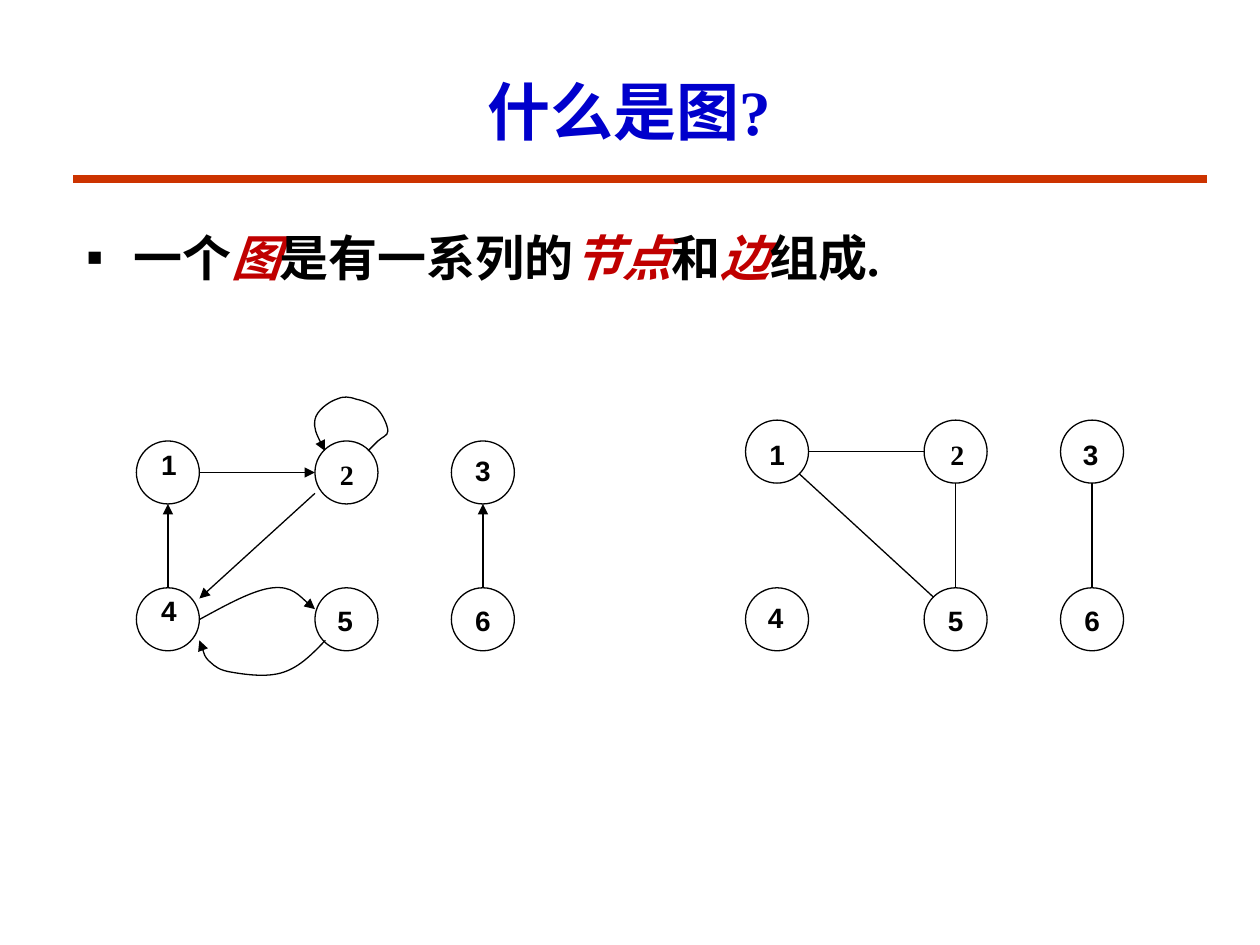
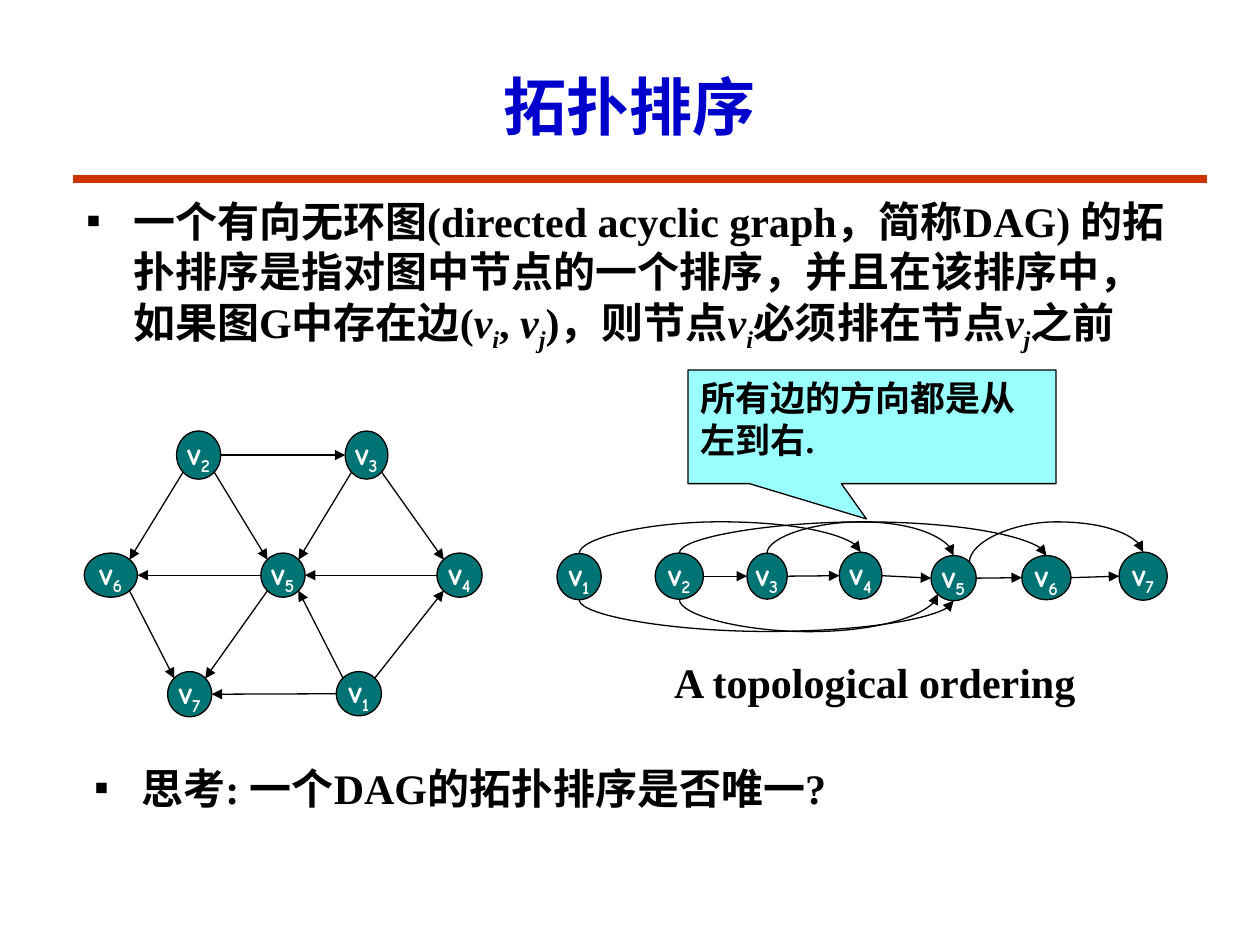
from dataclasses import dataclass, field
from typing import Any

import lxml.etree
import pptx
import pptx.dml.color
import pptx.enum.shapes
import pptx.enum.text
import pptx.oxml.ns
import pptx.util

Cm = pptx.util.Cm
Pt = pptx.util.Pt
qn = pptx.oxml.ns.qn
Shapes = pptx.enum.shapes.MSO_SHAPE
Connectors = pptx.enum.shapes.MSO_CONNECTOR
Anchor = pptx.enum.text.MSO_ANCHOR
Align = pptx.enum.text.PP_ALIGN

COLOURS = {
    "title": "0000CC",
    "rule": "CC3300",
    "ink": "000000",
    "term": "C00000",
    "node": "007374",
    "node_text": "FFFFFF",
    "callout": "99FFFF",
}
SERIF, SANS, COMIC = "Times New Roman", "Arial", "Comic Neue"
SUBSCRIPT = -25000
SIDES = {
    "n": (0.5, 0), "s": (0.5, 1), "w": (0, 0.5), "e": (1, 0.5),
    "nw": (0.15, 0.15), "ne": (0.85, 0.15), "sw": (0.15, 0.85), "se": (0.85, 0.85),
    "wsw": (0, 0.83), "ene": (1, 0.17),
}
CIRCLE = 1.27
ARC_TOP, ARC_BOTTOM = 10.52, 12.73


@dataclass
class Span:
    text: str
    colour: str = "ink"
    italic: bool = False
    baseline: int = 0


@dataclass
class Style:
    size: float
    name: str = SERIF
    bullet: bool = False
    frame: dict[str, Any] = field(default_factory=dict)
    align: Any = Align.LEFT


@dataclass
class Node:
    left: float
    top: float
    width: float = CIRCLE
    height: float = CIRCLE
    label_left: float = 0
    label_top: float = 0
    font: str = SANS

    def at(self, side: str) -> tuple[float, float]:
        across, down = SIDES[side]
        return self.left + across * self.width, self.top + down * self.height


@dataclass
class Edge:
    begin: str
    begin_side: str
    end: str
    end_side: str
    level: float = 0


NO_FIT = {"auto_size": pptx.enum.text.MSO_AUTO_SIZE.NONE, "word_wrap": True}
TITLE = Style(36, frame=NO_FIT | {"vertical_anchor": Anchor.MIDDLE}, align=Align.CENTER)
TOP = NO_FIT | {"vertical_anchor": Anchor.TOP}
NODE_STYLE = Style(18, COMIC, frame={"word_wrap": False, "vertical_anchor": Anchor.MIDDLE},
                   align=Align.CENTER)

LEFT, MIDDLE, RIGHT = 2.75, 6.35, 9.1
UPPER, LOWER = 8.89, 11.85
DIRECTED = {
    "1": Node(LEFT, UPPER, label_left=0.25),
    "2": Node(MIDDLE, UPPER, label_left=0.25, label_top=0.2, font=SERIF),
    "3": Node(RIGHT, UPPER, label_left=0.23, label_top=0.13),
    "4": Node(LEFT, LOWER, label_left=0.25),
    "5": Node(MIDDLE, LOWER, label_left=0.2, label_top=0.2),
    "6": Node(RIGHT, LOWER, label_left=0.23, label_top=0.2),
}
DIRECTED_EDGES = [
    Edge("4", "n", "1", "s"), Edge("1", "e", "2", "w"),
    Edge("2", "wsw", "4", "ene"), Edge("6", "n", "3", "s"),
]
UNDIRECTED = {
    "1": Node(15.03, 8.47, label_left=0.23, label_top=0.22),
    "2": Node(18.63, 8.47, label_left=0.28, label_top=0.22, font=SERIF),
    "3": Node(21.38, 8.47, label_left=0.2, label_top=0.22),
    "4": Node(15.03, LOWER, label_left=0.2, label_top=0.13),
    "5": Node(18.63, LOWER, label_left=0.23, label_top=0.2),
    "6": Node(21.38, LOWER, label_left=0.23, label_top=0.2),
}
UNDIRECTED_EDGES = [
    Edge("1", "se", "5", "nw"), Edge("1", "e", "2", "w"),
    Edge("5", "n", "2", "s"), Edge("6", "n", "3", "s"),
]
SELF_LOOP = [
    (7.42, 9.09), (7.44, 9.07), (7.54, 8.97), (7.62, 8.89), (7.7, 8.81), (7.82, 8.79),
    (7.82, 8.69), (7.82, 8.59), (7.72, 8.36), (7.62, 8.26), (7.52, 8.15), (7.34, 8.08),
    (7.19, 8.05), (7.06, 8), (6.91, 7.98), (6.78, 8.05), (6.63, 8.1), (6.38, 8.28),
    (6.35, 8.46), (6.32, 8.64), (6.43, 8.86), (6.55, 9.09),
]
FOUR_TO_FIVE = [
    (4.02, 12.49), (4.57, 12.19), (5.11, 11.89), (5.5, 11.85),
    (5.89, 11.81), (6.2, 12.17), (6.35, 12.28),
]
FIVE_TO_FOUR = [
    (6.56, 12.91), (6.3, 13.18), (6.05, 13.44), (5.72, 13.55), (5.38, 13.67),
    (4.9, 13.59), (4.66, 13.55), (4.42, 13.51), (4.34, 13.44), (4.23, 13.34),
    (4.11, 13.23), (4.06, 12.98), (4.02, 12.91),
]
DAG = {
    "2": Node(3.56, 8.69, 0.89, 0.97),
    "3": Node(6.96, 8.69, 0.86, 0.97),
    "6": Node(1.7, 11.15, 1.07, 0.89),
    "5": Node(5.26, 11.15, 0.89, 0.89),
    "4": Node(8.81, 11.15, 0.91, 0.89),
    "7": Node(3.38, 13.54, 0.89, 0.91),
    "1": Node(6.78, 13.54, 0.91, 0.89),
}
DAG_EDGES = [
    Edge("2", "sw", "6", "ne"), Edge("2", "se", "5", "nw"), Edge("2", "e", "3", "w"),
    Edge("3", "se", "4", "nw"), Edge("4", "w", "5", "e"), Edge("1", "ne", "4", "sw"),
    Edge("5", "sw", "7", "ne"), Edge("1", "nw", "5", "se"), Edge("1", "w", "7", "e"),
    Edge("6", "se", "7", "nw"), Edge("5", "w", "6", "e"), Edge("3", "sw", "5", "ne"),
]
ORDERING = {
    "1": Node(11.23, 11.16, 0.89, 0.93),
    "2": Node(13.21, 11.15, 0.97, 0.93),
    "3": Node(15.06, 11.15, 0.81, 0.93),
    "4": Node(16.92, 11.13, 0.86, 0.95),
    "5": Node(18.77, 11.2, 0.91, 0.91),
    "6": Node(20.6, 11.2, 0.99, 0.89),
    "7": Node(22.56, 11.13, 0.97, 0.97),
}
ORDERING_EDGES = [Edge(str(n), "e", str(n + 1), "w") for n in range(2, 7)] + [
    Edge("3", "n", "5", "n", ARC_TOP), Edge("2", "s", "5", "sw", ARC_BOTTOM),
    Edge("1", "s", "5", "s", ARC_BOTTOM), Edge("1", "n", "4", "n", ARC_TOP),
    Edge("5", "ne", "7", "n", ARC_TOP), Edge("2", "n", "6", "n", ARC_TOP),
]


def rgb(colour: str) -> pptx.dml.color.RGBColor:
    return pptx.dml.color.RGBColor.from_string(COLOURS[colour])


def child(parent: Any, tag: str, **values: str) -> Any:
    return lxml.etree.SubElement(parent, qn(tag), **values)


def place(box: Any, left: float, top: float, width: float, height: float) -> None:
    values = {"left": left, "top": top, "width": width, "height": height}
    for name, value in values.items():
        setattr(box, name, Cm(value))


def write(box: Any, spans: list[Span], style: Style) -> None:
    for name, value in style.frame.items():
        setattr(box.text_frame, name, value)
    para = box.text_frame.paragraphs[0]
    para.alignment = style.align
    if style.bullet:
        properties = para._p.get_or_add_pPr()
        properties.set("marL", str(Cm(0.95)))
        properties.set("indent", str(-Cm(0.95)))
        child(properties, "a:buFont", typeface=SANS)
        child(properties, "a:buChar", char="▪")
    for part in spans:
        span = para.add_run()
        span.text = part.text
        formats = {"size": Pt(style.size), "name": style.name, "bold": True,
                   "italic": part.italic}
        for name, value in formats.items():
            setattr(span.font, name, value)
        span.font.color.rgb = rgb(part.colour)
        if part.baseline:
            span._r.get_or_add_rPr().set("baseline", str(part.baseline))


def outline(shape: Any, arrow: bool = False, colour: str = "ink", width: float = 0.75) -> None:
    shape.line.color.rgb = rgb(colour)
    shape.line.width = Pt(width)
    if arrow:
        child(shape.line._get_or_add_ln(), "a:tailEnd", type="triangle")


def add_line(page: Any, begin: tuple[float, float], end: tuple[float, float],
             arrow: bool, kind: Any = Connectors.STRAIGHT, **look: Any) -> Any:
    line = page.shapes.add_connector(kind, *map(Cm, begin + end))
    outline(line, arrow, **look)
    child(line._element.spPr, "a:effectLst")
    return line


def add_arc(page: Any, begin: tuple[float, float], end: tuple[float, float],
            level: float) -> None:
    arc = add_line(page, begin, end, True, Connectors.CURVE)
    across, down = end[0] - begin[0], end[1] - begin[1]
    drop = abs(down)
    place(arc, (begin[0] + end[0] - drop) / 2, (begin[1] + end[1] - across) / 2, drop, across)
    turn = {"rot": "16200000", "flipH": "1", "flipV": "0"}
    if down < 0:
        turn = {"rot": "5400000", "flipH": "1", "flipV": "1"}
    for name, value in turn.items():
        arc._element.spPr.find(qn("a:xfrm")).set(name, value)
    guides = arc._element.spPr.find(qn("a:prstGeom")).find(qn("a:avLst"))
    bend = round((level - begin[1]) / down * 100000)
    child(guides, "a:gd", name="adj1", fmla=f"val {bend}")


def add_curve(page: Any, points: list[tuple[float, float]]) -> None:
    lengths = [(Cm(x), Cm(y)) for x, y in points]
    builder = page.shapes.build_freeform(*lengths[0])
    builder.add_line_segments(lengths[1:], close=False)
    curve = builder.convert_to_shape()
    curve.fill.background()
    curve.shadow.inherit = False
    outline(curve, True)
    segments = list(curve._element.iter(qn("a:lnTo")))
    for start in range(0, len(segments), 3):
        bezier = child(segments[start].getparent(), "a:cubicBezTo")
        for segment in segments[start:start + 3]:
            bezier.append(segment[0])
            segment.getparent().remove(segment)


def add_box(page: Any, kind: Any, node: Node, fill: str = "") -> Any:
    box = page.shapes.add_shape(kind, 0, 0, 0, 0)
    place(box, node.left, node.top, node.width, node.height)
    box.shadow.inherit = False
    outline(box)
    if fill:
        box.fill.solid()
        box.fill.fore_color.rgb = rgb(fill)
    else:
        box.fill.background()
    return box


def add_text(page: Any, bounds: tuple[float, float, float, float], text: str,
             style: Style) -> None:
    write(page.shapes.add_textbox(*map(Cm, bounds)), [Span(text)], style)


def add_graph(page: Any, nodes: dict[str, Node], edges: list[Edge], arrow: bool = True,
              filled: bool = False) -> None:
    for number, node in nodes.items():
        box = add_box(page, Shapes.OVAL, node, "node" if filled else "")
        if filled:
            write(box, [Span("v", "node_text"),
                        Span(number, "node_text", baseline=SUBSCRIPT)], NODE_STYLE)
        else:
            label = (node.left + node.label_left, node.top + node.label_top, 0.81, 0.94)
            add_text(page, label, number, Style(16, node.font, frame={"word_wrap": False}))
    for edge in edges:
        begin = nodes[edge.begin].at(edge.begin_side)
        end = nodes[edge.end].at(edge.end_side)
        if edge.level:
            add_arc(page, begin, end, edge.level)
        else:
            add_line(page, begin, end, arrow)


def add_page(deck: Any, title: str, title_top: float, title_height: float,
             body: list[Span], body_bounds: tuple[float, float, float, float],
             size: float) -> Any:
    page = deck.slides.add_slide(deck.slide_layouts[1])
    heading, content = page.placeholders
    place(heading, 1.9, title_top, 21.59, title_height)
    write(heading, [Span(title, "title")], TITLE)
    place(content, *body_bounds)
    write(content, body, Style(size, bullet=True, frame=TOP))
    return page


def vertex(index: str) -> list[Span]:
    return [Span("v", italic=True), Span(index, italic=True, baseline=SUBSCRIPT)]


def main() -> None:
    deck = pptx.Presentation()
    deck.slide_width, deck.slide_height = Cm(25.4), Cm(19.05)

    graph_body = [
        Span("一个"), Span("图", "term", True), Span("是有一系列的"),
        Span("节点", "term", True), Span("和"), Span("边", "term", True), Span("组成."),
    ]
    page = add_page(deck, "什么是图?", 1.06, 2.33, graph_body, (1.48, 4.45, 22.01, 12.49), 28)
    rule = add_line(page, (1.48, 3.6), (24.34, 3.6), False, colour="rule", width=4.5)
    deck.slide_layouts[1].shapes.element.append(rule._element)
    add_graph(page, DIRECTED, DIRECTED_EDGES)
    for curve in (SELF_LOOP, FOUR_TO_FIVE, FIVE_TO_FOUR):
        add_curve(page, curve)
    add_graph(page, UNDIRECTED, UNDIRECTED_EDGES, arrow=False)

    order_body = [
        Span("一个有向无环图(directed acyclic graph，简称DAG) 的拓扑排序是指对图中节点的"
             "一个排序，并且在该排序中，如果图G中存在边("),
        *vertex("i"), Span(", "), *vertex("j"), Span(")，则节点"), *vertex("i"),
        Span("必须排在节点"), *vertex("j"), Span("之前"),
    ]
    page = add_page(deck, "拓扑排序", 0.85, 2.54, order_body, (1.48, 3.81, 22.44, 4.23), 24)
    add_text(page, (13.34, 13.11, 8.69, 1.3), "A topological ordering",
             Style(24, frame={"word_wrap": False}))
    add_graph(page, DAG, DAG_EDGES, filled=True)
    add_graph(page, ORDERING, ORDERING_EDGES, filled=True)
    callout = add_box(page, Shapes.RECTANGULAR_CALLOUT, Node(13.87, 7.46, 7.42, 2.29), "callout")
    callout.adjustments[0], callout.adjustments[1] = -0.015, 0.811
    write(callout, [Span("所有边的方向都是从左到右.")], Style(20, frame=TOP))
    add_text(page, (1.65, 15.24, 15.47, 1.27), "思考: 一个DAG的拓扑排序是否唯一?",
             Style(24, bullet=True, frame=TOP))
    deck.save("out.pptx")


if __name__ == "__main__":
    main()
